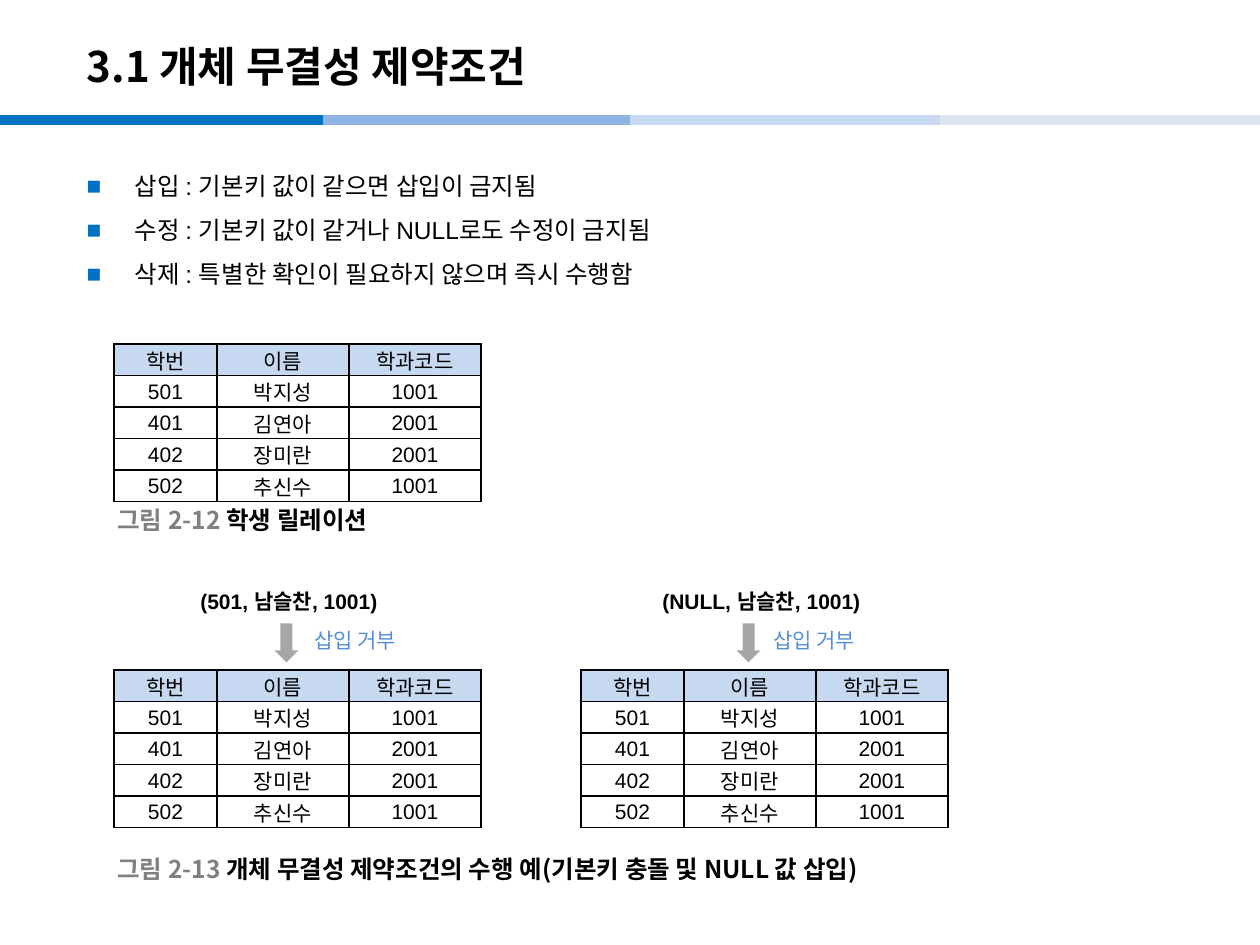
from lxml.etree import SubElement
from pptx import Presentation
from pptx.dml.color import RGBColor
from pptx.enum.shapes import MSO_CONNECTOR, MSO_SHAPE
from pptx.enum.text import MSO_ANCHOR, MSO_AUTO_SIZE, PP_ALIGN
from pptx.oxml.ns import qn
from pptx.util import Pt

SANS, KOREAN = "Arial", "Noto Sans CJK KR"
BLACK, GRAY, BLUE = "000000", "808080", "558ED5"

TITLE = "3.1 개체 무결성 제약조건"
RULES = [
    "삽입 : 기본키 값이 같으면 삽입이 금지됨",
    "수정 : 기본키 값이 같거나 NULL로도 수정이 금지됨",
    "삭제 : 특별한 확인이 필요하지 않으며 즉시 수행함",
]
STUDENTS = [
    ("학번", "이름", "학과코드"),
    ("501", "박지성", "1001"),
    ("401", "김연아", "2001"),
    ("402", "장미란", "2001"),
    ("502", "추신수", "1001"),
]
BAND = [(0, "0070C0"), (323, "8EB4E3"), (630, "C6D9F1"), (940, "DCE6F2")]
BAND_Y, BAND_LENGTH = 120, 323
TABLE_SPOTS = [(114, 344), (114, 670), (581, 670)]
COLUMNS, ROW_HEIGHT = (103, 132, 132), 31
CAPTIONS = [
    (500, "그림 2-12 ", "학생 릴레이션"),
    (849, "그림 2-13 ", "개체 무결성 제약조건의 수행 예(기본키 충돌 및 NULL 값 삽입)"),
]
# tuple text, its left and width, arrow left, note left
INSERTS = [
    ("(501, 남슬찬, 1001)", 188, 217, 267, 302),
    ("(NULL, 남슬찬, 1001)", 650, 234, 729, 761),
]
REJECTED = "삽입 거부"


def px(*lengths):
    return [round(length * 914400 / 126) for length in lengths]


def color(value):
    return RGBColor.from_string(value)


def write(para, text, size, font=SANS, fill=BLACK, bold=False):
    span = para.add_run()
    span.text = text
    span.font.size, span.font.name, span.font.bold = Pt(size), font, bold
    span.font.color.rgb = color(fill)
    SubElement(span.font._element, qn("a:ea"), typeface=KOREAN)


def place(shape, left, top, width, height):
    shape.left, shape.top, shape.width, shape.height = px(left, top, width, height)


def add_text(page, left, top, width, height, wrap=False, anchor=MSO_ANCHOR.TOP,
             fit=MSO_AUTO_SIZE.NONE):
    """Add an empty text box and return its first paragraph."""
    frame = page.shapes.add_textbox(*px(left, top, width, height)).text_frame
    frame.word_wrap, frame.vertical_anchor, frame.auto_size = wrap, anchor, fit
    return frame.paragraphs[0]


def add_band(page):
    for left, fill in BAND:
        line = page.shapes.add_connector(
            MSO_CONNECTOR.STRAIGHT, *px(left, BAND_Y, left + BAND_LENGTH, BAND_Y))
        line.line.color.rgb, line.line.width = color(fill), Pt(6)
        SubElement(line._element.spPr, qn("a:effectLst"))


def add_title(page):
    title = page.shapes.title
    place(title, 74, 28, 1042, 76)
    frame = title.text_frame
    frame.vertical_anchor, frame.auto_size = MSO_ANCHOR.MIDDLE, MSO_AUTO_SIZE.NONE
    frame.paragraphs[0].alignment = PP_ALIGN.LEFT
    write(frame.paragraphs[0], TITLE, 24, KOREAN, bold=True)


def add_rules(page):
    body = page.placeholders[1]
    place(body, 74, 150, 1111, 753)
    frame = body.text_frame
    frame.auto_size = MSO_AUTO_SIZE.NONE
    for index, rule in enumerate(RULES):
        para = frame.add_paragraph() if index else frame.paragraphs[0]
        para.line_spacing, para.space_before = 1.5, Pt(0)
        props = para._p.get_or_add_pPr()
        indent = px(48)[0]
        props.set("marL", str(indent))
        props.set("indent", str(-indent))
        SubElement(SubElement(props, qn("a:buClr")), qn("a:srgbClr"), val="0070C0")
        SubElement(props, qn("a:buFont"), typeface=SANS)
        SubElement(props, qn("a:buChar"), char="■")
        write(para, rule, 14)


def add_border(cell):
    """Draw thin black edges, kept ahead of the cell's fill."""
    props = cell._tc.get_or_add_tcPr()
    for index, side in enumerate(("lnL", "lnR", "lnT", "lnB")):
        edge = SubElement(props, qn(f"a:{side}"), w=str(Pt(1)))
        SubElement(SubElement(edge, qn("a:solidFill")), qn("a:srgbClr"), val=BLACK)
        props.insert(index, edge)


def add_students(page, left, top):
    size = px(left, top, sum(COLUMNS), ROW_HEIGHT * len(STUDENTS))
    table = page.shapes.add_table(len(STUDENTS), len(COLUMNS), *size).table
    for column, width in zip(table.columns, px(*COLUMNS)):
        column.width = width
    for r, record in enumerate(STUDENTS):
        table.rows[r].height = px(ROW_HEIGHT)[0]
        for c, value in enumerate(record):
            cell = table.cell(r, c)
            cell.margin_left, cell.margin_right, cell.margin_top, cell.margin_bottom = px(1, 1, 1, 0)
            cell.vertical_anchor = MSO_ANCHOR.MIDDLE
            cell.fill.solid()
            cell.fill.fore_color.rgb = color("FFFFFF" if r else "C6D9F1")
            add_border(cell)
            para = cell.text_frame.paragraphs[0]
            para.alignment = PP_ALIGN.CENTER
            write(para, value, 12)


def add_insert(page, record, left, width, arrow_left, note_left):
    arrow = page.shapes.add_shape(MSO_SHAPE.RIGHT_ARROW, *px(arrow_left, 631, 39, 24))
    arrow.rotation = 90
    arrow.shadow.inherit = False
    arrow.fill.solid()
    arrow.fill.fore_color.rgb = color("A6A6A6")
    arrow.line.fill.background()
    grow = MSO_AUTO_SIZE.SHAPE_TO_FIT_TEXT
    write(add_text(page, left, 582, width, 38, fit=grow), record, 12, bold=True)
    write(add_text(page, note_left, 621, 174, 38, wrap=True, fit=grow),
          REJECTED, 12, KOREAN, BLUE)


def main():
    deck = Presentation()
    deck.slide_width, deck.slide_height = px(1260, 945)
    page = deck.slides.add_slide(deck.slide_layouts[1])
    add_band(page)
    add_title(page)
    add_rules(page)
    for spot in TABLE_SPOTS:
        add_students(page, *spot)
    for insert in INSERTS:
        add_insert(page, *insert)
    for top, label, caption in CAPTIONS:
        para = add_text(page, 105, top, 258, 39, anchor=MSO_ANCHOR.MIDDLE)
        write(para, label, 14, KOREAN, GRAY, bold=True)
        write(para, caption, 14, KOREAN, bold=True)
    deck.save("out.pptx")


if __name__ == "__main__":
    main()
